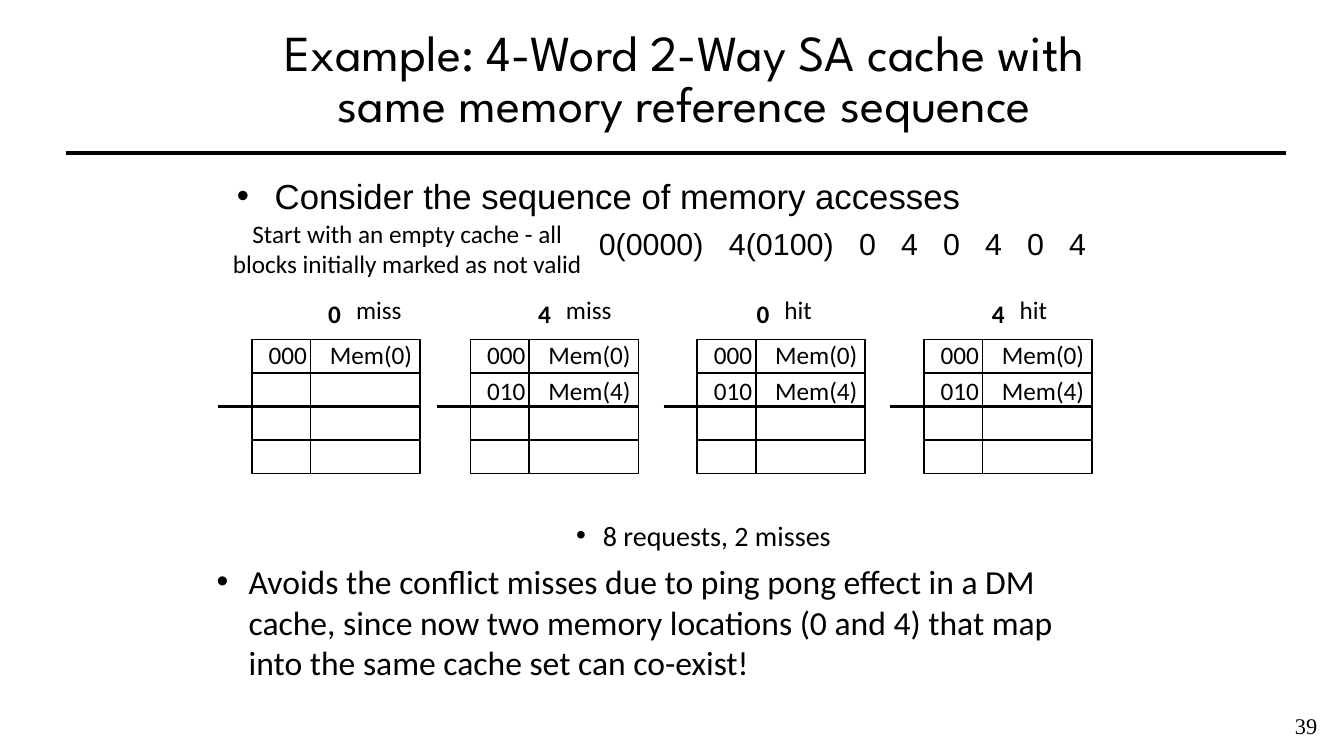
from dataclasses import dataclass
from typing import Any, Optional

import lxml.etree
import pptx
import pptx.dml.color
import pptx.enum.shapes
import pptx.enum.text
import pptx.oxml.ns
import pptx.util

COLUMNS, ROWS = 160, 90
UNITS_PER_INCH = 12
BLACK = "000000"
ALIGN = pptx.enum.text.PP_ALIGN
TAG_COLUMNS, DATA_COLUMNS, ENTRY_ROWS, ENTRY_COUNT = 7, 13, 4, 4
CACHE_TOP = 40.4


@dataclass(frozen=True)
class Area:
    column: float
    row: float
    columns: float
    rows: float


@dataclass(frozen=True)
class Style:
    size: float
    font: str = "Calibri"
    bold: bool = False


@dataclass(frozen=True)
class Line:
    text: str
    style: Style
    align: Any = ALIGN.LEFT
    bullet: bool = False
    margin: float = 0
    hanging: float = 0
    line_spacing: float = 1.0
    tabs: tuple[float, ...] = ()


@dataclass(frozen=True)
class Cache:
    column: float
    label_column: float
    address: str
    result: str
    entries: tuple[str, ...]


LABEL = Style(18)
FIRST_ENTRY, SECOND_ENTRY = "000\tMem(0)", "010\tMem(4)"
CACHES = (
    Cache(30, 37.8, "0", "miss", (FIRST_ENTRY,)),
    Cache(56, 62.8, "4", "miss", (FIRST_ENTRY, SECOND_ENTRY)),
    Cache(83, 88.8, "0", "hit", (FIRST_ENTRY, SECOND_ENTRY)),
    Cache(110, 116.8, "4", "hit", (FIRST_ENTRY, SECOND_ENTRY)),
)
ACCESSES = ("0(0000)", "4(0100)", "0", "4", "0", "4", "0", "4")
ACCESS_TABS = (15.5,) + tuple(31 + 5 * index for index in range(6))


def grid(units: float) -> int:
    return pptx.util.Inches(units / UNITS_PER_INCH)


def color(value: str) -> Any:
    return pptx.dml.color.RGBColor.from_string(value)


def place(shape: Any, area: Area) -> None:
    shape.left, shape.top = grid(area.column), grid(area.row)
    shape.width, shape.height = grid(area.columns), grid(area.rows)


def format_paragraph(paragraph: Any, line: Line) -> None:
    paragraph.alignment = line.align
    paragraph.line_spacing = line.line_spacing
    paragraph.space_before = pptx.util.Pt(0)
    properties = paragraph._p.get_or_add_pPr()
    qn = pptx.oxml.ns.qn
    if line.bullet:
        properties.set("marL", str(grid(line.margin)))
        properties.set("indent", str(-grid(line.hanging)))
        lxml.etree.SubElement(properties, qn("a:buFont"), typeface="Arial")
        lxml.etree.SubElement(properties, qn("a:buChar"), char="•")
    if line.tabs:
        tab_list = lxml.etree.SubElement(properties, qn("a:tabLst"))
        for tab in line.tabs:
            lxml.etree.SubElement(tab_list, qn("a:tab"), pos=str(grid(tab)), algn="l")


def write(shape: Any, line: Line, inset: Optional[tuple[float, float]] = None,
          anchor: Any = pptx.enum.text.MSO_ANCHOR.TOP) -> None:
    frame = shape.text_frame
    frame.word_wrap = True
    frame.auto_size = pptx.enum.text.MSO_AUTO_SIZE.NONE
    frame.vertical_anchor = anchor
    if inset:
        frame.margin_left = frame.margin_right = grid(inset[0])
        frame.margin_top = frame.margin_bottom = grid(inset[1])
    paragraph = frame.paragraphs[0]
    format_paragraph(paragraph, line)
    for index, text in enumerate(line.text.split("\n")):
        if index:
            paragraph.add_line_break()
        run = paragraph.add_run()
        run.text = text
        run.font.name = line.style.font
        run.font.size = pptx.util.Pt(line.style.size)
        run.font.bold = line.style.bold
        run.font.color.rgb = color(BLACK)


def add_text(slide: Any, area: Area, line: Line) -> None:
    shape = slide.shapes.add_textbox(0, 0, 0, 0)
    place(shape, area)
    write(shape, line)
    shape.text_frame.margin_right = 0 if line.align == ALIGN.LEFT else grid(1.2)


def add_rule(slide: Any, left: float, right: float, row: float, width: float) -> Any:
    connector = slide.shapes.add_connector(
        pptx.enum.shapes.MSO_CONNECTOR.STRAIGHT,
        grid(left), grid(row), grid(right), grid(row))
    connector.line.color.rgb = color(BLACK)
    connector.line.width = pptx.util.Pt(width)
    lxml.etree.SubElement(connector._element.spPr, pptx.oxml.ns.qn("a:effectLst"))
    return connector


def add_field(slide: Any, column: float, columns: float) -> Any:
    field = slide.shapes.add_shape(pptx.enum.shapes.MSO_SHAPE.RECTANGLE, 0, 0, 0, 0)
    place(field, Area(column, CACHE_TOP, columns, ENTRY_ROWS * ENTRY_COUNT))
    field.shadow.inherit = False
    field.fill.background()
    field.line.color.rgb = color(BLACK)
    field.line.width = pptx.util.Pt(1)
    for index in range(1, ENTRY_COUNT):
        rule = add_rule(slide, column, column + columns, CACHE_TOP + index * ENTRY_ROWS, 1)
        if index == ENTRY_COUNT // 2:
            rule.begin_connect(field, 1)
            rule.end_connect(field, 3)
    return field


def add_cache(slide: Any, cache: Cache) -> None:
    add_field(slide, cache.column, TAG_COLUMNS)
    data_column = cache.column + TAG_COLUMNS
    data = add_field(slide, data_column, DATA_COLUMNS)
    middle = CACHE_TOP + ENTRY_ROWS * ENTRY_COUNT / 2
    set_rule = add_rule(slide, cache.column - 4, data_column + DATA_COLUMNS, middle, 2.25)
    set_rule.end_connect(data, 3)
    add_text(slide, Area(cache.label_column, 34.9, 4.1, 4.8),
             Line(cache.address, Style(18, bold=True), ALIGN.CENTER))
    add_text(slide, Area(cache.label_column + 3.4, 34.4, 8, 4.8), Line(cache.result, LABEL))
    for index, entry in enumerate(cache.entries):
        add_text(slide, Area(cache.column + 0.8, 39.8 + 4.3 * index, 19.7, 4.8),
                 Line(entry, LABEL, tabs=(7.3,)))


def main() -> None:
    presentation = pptx.Presentation()
    presentation.slide_width, presentation.slide_height = grid(COLUMNS), grid(ROWS)
    slide = presentation.slides.add_slide(presentation.slide_layouts[4])
    title = slide.shapes.title
    sequence, requests, conclusion, spare = list(slide.placeholders)[1:]
    spare._element.getparent().remove(spare._element)

    place(title, Area(7, 2.2, 149, 15))
    write(title, Line("Example: 4-Word 2-Way SA cache with\nsame memory reference sequence",
                      Style(36, "League Spartan"), ALIGN.CENTER, line_spacing=0.85),
          anchor=pptx.enum.text.MSO_ANCHOR.MIDDLE)
    add_rule(slide, 7.8, 153.1, 18.2, 3)

    place(sequence, Area(27, 20.2, 107, 6))
    write(sequence, Line("Consider the sequence of memory accesses", Style(24.8, "Arial"),
                         bullet=True, margin=4.5, hanging=4.5))
    add_text(slide, Area(70.1, 26.2, 63, 5),
             Line("\t".join(ACCESSES), Style(21.7, "Arial"), tabs=ACCESS_TABS))
    add_text(slide, Area(26, 25.4, 45, 8.5),
             Line("Start with an empty cache - all blocks initially marked as not valid",
                  LABEL, ALIGN.CENTER))

    for cache in CACHES:
        add_cache(slide, cache)

    place(requests, Area(27, 61.3, 107, 4.7))
    write(requests, Line("8 requests, 2 misses", Style(20), ALIGN.CENTER,
                         bullet=True, margin=9.7, hanging=3.2), (0.8, 0.4))
    place(conclusion, Area(25, 66.4, 107, 15.2))
    write(conclusion, Line(
        "Avoids the conflict misses due to ping pong effect in a DM cache, since now two "
        "memory locations (0 and 4) that map into the same cache set can co-exist!",
        Style(24), bullet=True, margin=3.8, hanging=3.8), (0.8, 0.4))
    add_text(slide, Area(152.1, 84.2, 6.8, 4.6),
             Line("39", Style(16, "Times New Roman"), ALIGN.CENTER))
    presentation.save("out.pptx")


if __name__ == "__main__":
    main()
